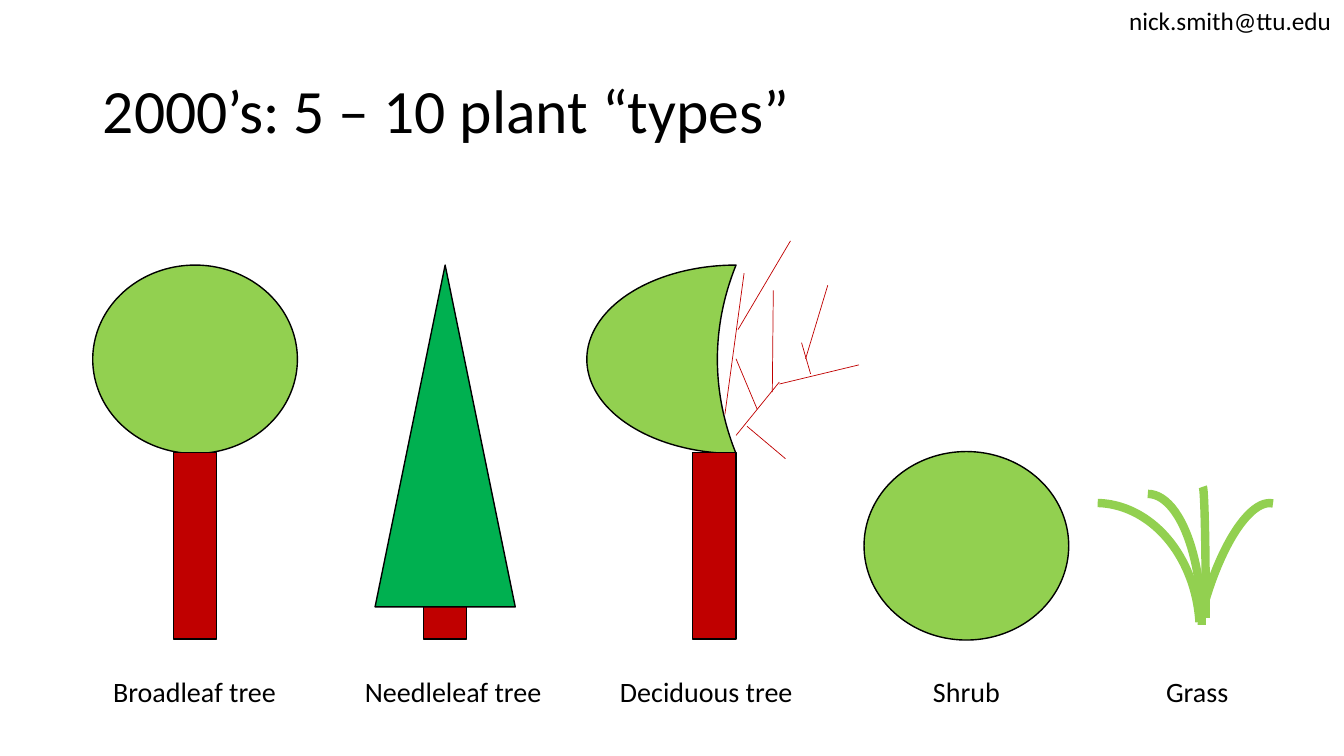
"""Build the slide that shows five plant types as simple drawings."""

from dataclasses import dataclass
from typing import Optional

from lxml.etree import SubElement
from pptx import Presentation
from pptx.dml.color import RGBColor
from pptx.enum.shapes import MSO_CONNECTOR as Connector, MSO_SHAPE as Preset
from pptx.enum.text import MSO_ANCHOR as Anchor, MSO_AUTO_SIZE as AutoSize, PP_ALIGN as Align
from pptx.oxml.ns import qn
from pptx.util import Inches, Pt

BLACK = RGBColor(0x00, 0x00, 0x00)
BARK = RGBColor(0xC0, 0x00, 0x00)
LEAF = RGBColor(0x92, 0xD0, 0x50)
NEEDLE = RGBColor(0x00, 0xB0, 0x50)

WIDTH, HEIGHT = Inches(13.33), Inches(7.5)
COLUMNS, ROWS = 133.3, 75
CROWN_TOP, TRUNK_TOP = 26.3, 44.9
CROWN_HEIGHT, TRUNK_HEIGHT = 18.7, 18.5
CROWN_WIDTH, TRUNK_WIDTH = 20.3, 4.3
BLADE_HEIGHT = 26


@dataclass(frozen=True)
class Area:
    """A rectangle in grid columns and rows."""

    column: float
    row: float
    columns: float
    rows: float

    def place(self) -> tuple[int, int, int, int]:
        """Return left, top, width and height as slide lengths."""
        return across(self.column), down(self.row), across(self.columns), down(self.rows)


@dataclass(frozen=True)
class Part:
    """A filled part of a plant."""

    preset: Preset
    area: Area
    color: RGBColor
    bend: Optional[float] = None


@dataclass(frozen=True)
class Twig:
    """A bare twig between two grid points."""

    start: tuple[float, float]
    end: tuple[float, float]


@dataclass(frozen=True)
class Blade:
    """A curved blade of grass."""

    area: Area
    angles: Optional[tuple[float, float]] = None
    turn: float = 0
    flipped: bool = False


@dataclass(frozen=True)
class Label:
    """A plant name centred on a grid column."""

    words: str
    center: float
    columns: float


def trunk(column: float) -> Part:
    """Return a trunk that starts at a column."""
    return Part(Preset.RECTANGLE, Area(column, TRUNK_TOP, TRUNK_WIDTH, TRUNK_HEIGHT), BARK)


PARTS = [
    trunk(42),
    Part(Preset.OVAL, Area(9.2, CROWN_TOP, CROWN_WIDTH, CROWN_HEIGHT), LEAF),
    Part(Preset.MOON, Area(58.2, CROWN_TOP, 14.8, CROWN_HEIGHT), LEAF, 0.875),
    trunk(17.2),
    trunk(68.7),
    Part(Preset.ISOSCELES_TRIANGLE, Area(37.2, CROWN_TOP, 13.9, 33.9), NEEDLE),
    Part(Preset.OVAL, Area(85.7, 44.8, CROWN_WIDTH, CROWN_HEIGHT), LEAF),
]
TWIGS = [
    Twig((73, 43.2), (77.3, 37.9)),
    Twig((73, 35.6), (75.1, 40.6)),
    Twig((76.7, 28.8), (76.6, 38.9)),
    Twig((77.3, 38.1), (85.2, 36.2)),
    Twig((71.9, 41.1), (73.8, 27.1)),
    Twig((73.2, 32.7), (78.4, 23.9)),
    Twig((79.5, 34), (80.4, 37.1)),
    Twig((82.1, 28.3), (79.9, 35.6)),
    Twig((74.1, 42.3), (77.9, 45.5)),
]
BLADES = [
    Blade(Area(108.5, 49, 10.7, BLADE_HEIGHT)),
    Blade(Area(118.9, 49.6, 8.7, BLADE_HEIGHT), turn=13.4, flipped=True),
    Blade(Area(119, 48.3, 0.6, BLADE_HEIGHT)),
    Blade(Area(98.3, 49.9, 20.7, 25.6), (162.607, 212.736)),
]
LABELS = [
    Label("Broadleaf tree", 19.3, 18.4),
    Label("Deciduous tree", 70.05, 19.3),
    Label("Needleleaf tree", 44.95, 19.7),
    Label("Shrub", 95.85, 8.7),
    Label("Grass", 118.75, 8.3),
]


def across(columns: float) -> int:
    """Turn grid columns into a slide length."""
    return round(WIDTH * columns / COLUMNS)


def down(rows: float) -> int:
    """Turn grid rows into a slide length."""
    return round(HEIGHT * rows / ROWS)


def apply(target, **values) -> None:
    """Set each named format value on the target."""
    for name, value in values.items():
        setattr(target, name, value)


def style_line(line, color: RGBColor, points: float) -> None:
    """Give a line its colour and width."""
    line.color.rgb = color
    line.width = Pt(points)


def write(frame, words: str, points: float, align: Align) -> None:
    """Write one formatted paragraph in a text frame."""
    para = frame.paragraphs[0]
    para.alignment = align
    span = para.add_run()
    span.text = words
    apply(span.font, name="Calibri", size=Pt(points))
    span.font.color.rgb = BLACK


def add_title(page, words: str) -> None:
    """Move and fill the title placeholder."""
    box = page.shapes.title
    apply(box, **dict(zip(("left", "top", "width", "height"), Area(9.2, 4, 115, 14.5).place())))
    apply(box.text_frame, vertical_anchor=Anchor.MIDDLE, auto_size=AutoSize.NONE, word_wrap=True)
    write(box.text_frame, words, 44, Align.LEFT)
    box.text_frame.paragraphs[0].line_spacing = 0.9


def add_part(page, part: Part) -> None:
    """Draw a filled plant part."""
    shape = page.shapes.add_shape(part.preset, *part.area.place())
    shape.shadow.inherit = False
    shape.fill.solid()
    shape.fill.fore_color.rgb = part.color
    style_line(shape.line, BLACK, 1)
    if part.bend is not None:
        shape.adjustments[0] = part.bend


def add_twig(page, twig: Twig) -> None:
    """Draw a twig as a straight connector."""
    ends = [scale(value) for point in (twig.start, twig.end) for scale, value in zip((across, down), point)]
    line = page.shapes.add_connector(Connector.STRAIGHT, *ends)
    style_line(line.line, BARK, 0.5)
    SubElement(line._element.spPr, qn("a:effectLst"))


def add_blade(page, blade: Blade) -> None:
    """Draw a blade of grass as an arc."""
    shape = page.shapes.add_shape(Preset.ARC, *blade.area.place())
    shape.shadow.inherit = False
    shape.fill.background()
    style_line(shape.line, LEAF, 6)
    shape.rotation = blade.turn
    if blade.flipped:
        shape._element.spPr.find(qn("a:xfrm")).set("flipH", "1")
    for index, angle in enumerate(blade.angles or ()):
        shape.adjustments[index] = angle


def add_text(page, words: str, area: Area, points: float, align: Align) -> None:
    """Add a text box that fits its text on one line."""
    box = page.shapes.add_textbox(*area.place())
    apply(box.text_frame, word_wrap=False, auto_size=AutoSize.SHAPE_TO_FIT_TEXT)
    write(box.text_frame, words, points, align)


def main() -> None:
    """Build and save the deck."""
    deck = Presentation()
    apply(deck, slide_width=WIDTH, slide_height=HEIGHT)
    page = deck.slides.add_slide(deck.slide_layouts[5])
    add_title(page, "2000’s: 5 – 10 plant “types”")
    for items, draw in ((PARTS, add_part), (TWIGS, add_twig), (BLADES, add_blade)):
        for item in items:
            draw(page, item)
    for label in LABELS:
        area = Area(label.center - label.columns / 2, 66.4, label.columns, 4.4)
        add_text(page, label.words, area, 20, Align.CENTER)
    add_text(page, "nick.smith@ttu.edu", Area(111, 0, 22.3, 4), 18, Align.LEFT)
    deck.save("out.pptx")


if __name__ == "__main__":
    main()
